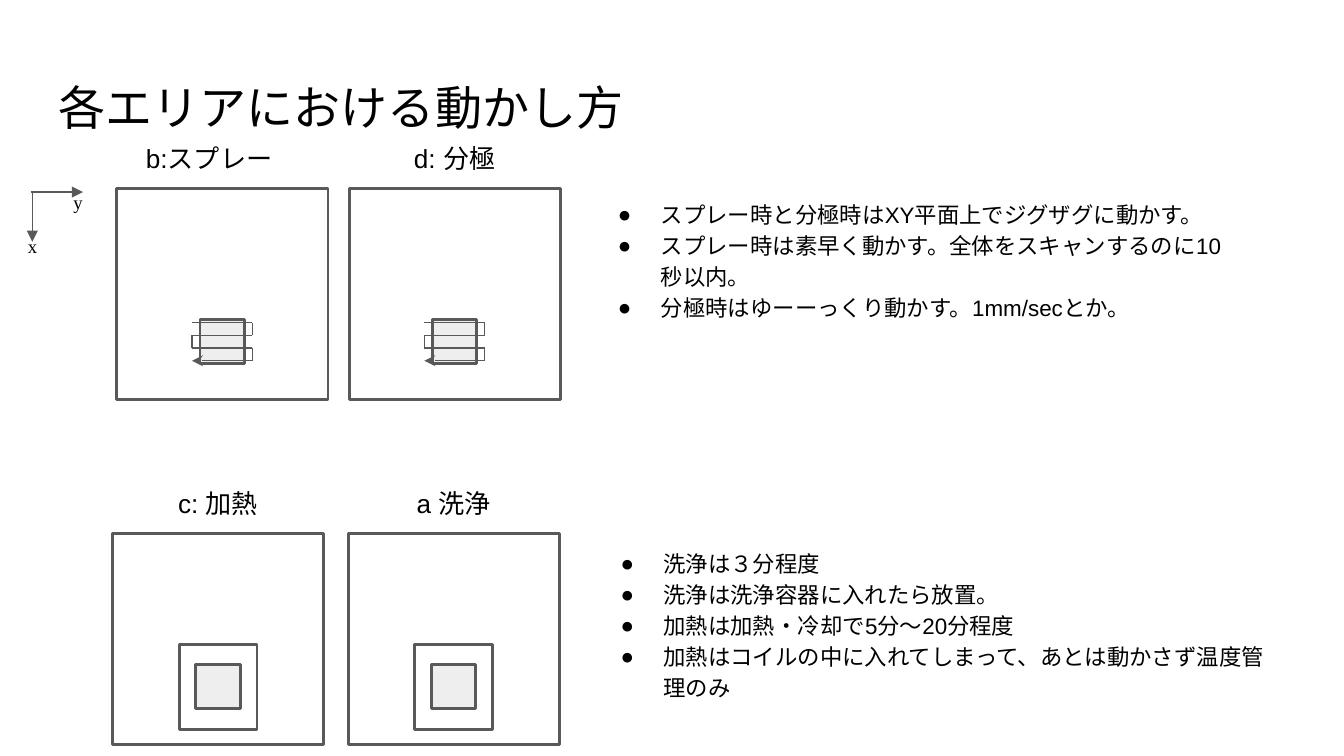
"""Build a slide on how to move the sample in each process area."""
from typing import NamedTuple

from lxml import etree
from pptx import Presentation
from pptx.dml.color import RGBColor
from pptx.enum.shapes import MSO_CONNECTOR, MSO_SHAPE
from pptx.enum.text import PP_ALIGN
from pptx.oxml.ns import qn
from pptx.shapes.autoshape import Shape
from pptx.shapes.shapetree import GroupShapes, SlideShapes
from pptx.util import Cm, Pt

RECT = MSO_SHAPE.RECTANGLE
STRAIGHT = MSO_CONNECTOR.STRAIGHT
LEFT, CENTER = PP_ALIGN.LEFT, PP_ALIGN.CENTER
GRAY = RGBColor(0x59, 0x59, 0x59)
PALE = RGBColor(0xEE, 0xEE, 0xEE)
BLACK = RGBColor(0, 0, 0)
SIDE = 3.99
CHIP = 0.84
PITCH = 0.24


class Box(NamedTuple):
    left: float
    top: float
    width: float
    height: float


class Area(NamedTuple):
    label: str
    left: float
    top: float
    shift: float
    zigzag: bool


class Notes(NamedTuple):
    box: Box
    lines: list[str]


class Axis(NamedTuple):
    start: tuple[float, float]
    end: tuple[float, float]
    name: str
    box: Box


AREAS = [
    Area("b:スプレー", 2.21, 3.56, -0.25, True),
    Area("d: 分極", 6.6, 3.56, 0, True),
    Area("c: 加熱", 2.13, 10.08, 0, False),
    Area("a 洗浄", 6.58, 10.08, 0, False),
]
AXES = [
    Axis((0.58, 3.63), (1.57, 3.63), "y", Box(1.14, 3.4, 0.97, 0.94)),
    Axis((0.61, 3.63), (0.61, 4.57), "x", Box(0.28, 4.22, 0.97, 0.94)),
]
NOTES = [
    Notes(Box(10.97, 3.48, 12.55, 3.45), [
        "スプレー時と分極時はXY平面上でジグザグに動かす。",
        "スプレー時は素早く動かす。全体をスキャンするのに10秒以内。",
        "分極時はゆーーっくり動かす。1mm/secとか。",
    ]),
    Notes(Box(11.02, 10.08, 13.23, 3.45), [
        "洗浄は３分程度",
        "洗浄は洗浄容器に入れたら放置。",
        "加熱は加熱・冷却で5分〜20分程度",
        "加熱はコイルの中に入れてしまって、あとは動かさず温度管理のみ",
    ]),
]


def add_text(shapes: SlideShapes, box: Box, text: str, size: float,
             font: str = "Arial", align: PP_ALIGN = LEFT) -> Shape:
    """Add a wrapped text box and format its paragraphs."""
    item = shapes.add_textbox(*map(Cm, box))
    frame = item.text_frame
    frame.word_wrap = True
    frame.margin_left = frame.margin_right = Cm(0.25)
    frame.margin_top = frame.margin_bottom = Cm(0.25)
    frame.text = text
    for para in frame.paragraphs:
        para.alignment = align
        for run in para.runs:
            run.font.name = font
            run.font.size = Pt(size)
            run.font.color.rgb = BLACK
    return item


def add_rect(shapes: SlideShapes, box: Box, fill: RGBColor | None = None) -> None:
    """Add an outlined rectangle, hollow unless a fill is given."""
    rect = shapes.add_shape(RECT, *map(Cm, box))
    rect.shadow.inherit = False
    rect.line.color.rgb = GRAY
    rect.line.width = Pt(1.5)
    if fill is None:
        rect.fill.background()
    else:
        rect.fill.solid()
        rect.fill.fore_color.rgb = fill


def add_line(shapes: SlideShapes | GroupShapes, start: tuple[float, float],
             end: tuple[float, float], tag: str = "", tip: str = "") -> None:
    """Add a thin line with an optional arrowhead."""
    line = shapes.add_connector(STRAIGHT, *map(Cm, start + end))
    line.line.color.rgb = GRAY
    line.line.width = Pt(0.75)
    props = line.element.spPr
    if tag:
        etree.SubElement(props.find(qn("a:ln")), qn(tag), type=tip)
    etree.SubElement(props, qn("a:effectLst"))


def add_zigzag(shapes: SlideShapes, left: float, top: float) -> None:
    """Add four grouped rows joined at alternate ends, with an arrow on the last."""
    group = shapes.add_group_shape().shapes
    right = left + 1.14
    rows = [top + PITCH * i for i in range(4)]
    for y in rows[:-1]:
        add_line(group, (left, y), (right, y))
    add_line(group, (left, rows[-1]), (right, rows[-1]), "a:headEnd", "stealth")
    for x, y in zip((right, left, right), rows):
        add_line(group, (x, y), (x, y + PITCH))


def add_area(shapes: SlideShapes, area: Area) -> None:
    """Add a labelled area with its sample and path or holder."""
    left, top = area.left, area.top
    add_rect(shapes, Box(left, top, SIDE, SIDE))
    if not area.zigzag:
        add_rect(shapes, Box(left + 1.26, top + 2.11, 1.47, 1.6))
    add_rect(shapes, Box(left + 1.57, top + 2.48, CHIP, CHIP), PALE)
    if area.zigzag:
        add_zigzag(shapes, left + 1.42, top + 2.54)
    label = Box(left + area.shift + 0.35, top - 1.12, SIDE - 0.7, 1.12)
    add_text(shapes, label, area.label, 14, align=CENTER)


def add_notes(shapes: SlideShapes, notes: Notes) -> None:
    """Add a bulleted list."""
    item = add_text(shapes, notes.box, "\n".join(notes.lines), 12)
    for para in item.text_frame.paragraphs:
        para.line_spacing = 1.15
        props = para._p.get_or_add_pPr()
        props.set("marL", str(Cm(1.27)))
        props.set("indent", str(Cm(-0.81)))
        color = etree.SubElement(props, qn("a:buClr"))
        etree.SubElement(color, qn("a:srgbClr"), val=str(BLACK))
        etree.SubElement(props, qn("a:buFont"), typeface="Arial")
        etree.SubElement(props, qn("a:buChar"), char="●")


def main() -> None:
    """Build and save the slide."""
    deck = Presentation()
    deck.slide_width, deck.slide_height = Cm(25.4), Cm(14.29)
    shapes = deck.slides.add_slide(deck.slide_layouts[6]).shapes
    add_text(shapes, Box(0.86, 1.24, 13.79, 1.6), "各エリアにおける動かし方", 25.2)
    for area in AREAS:
        add_area(shapes, area)
    for axis in AXES:
        add_line(shapes, axis.start, axis.end, "a:tailEnd", "triangle")
        add_text(shapes, axis.box, axis.name, 10, "Times New Roman")
    for notes in NOTES:
        add_notes(shapes, notes)
    deck.save("out.pptx")


if __name__ == "__main__":
    main()
